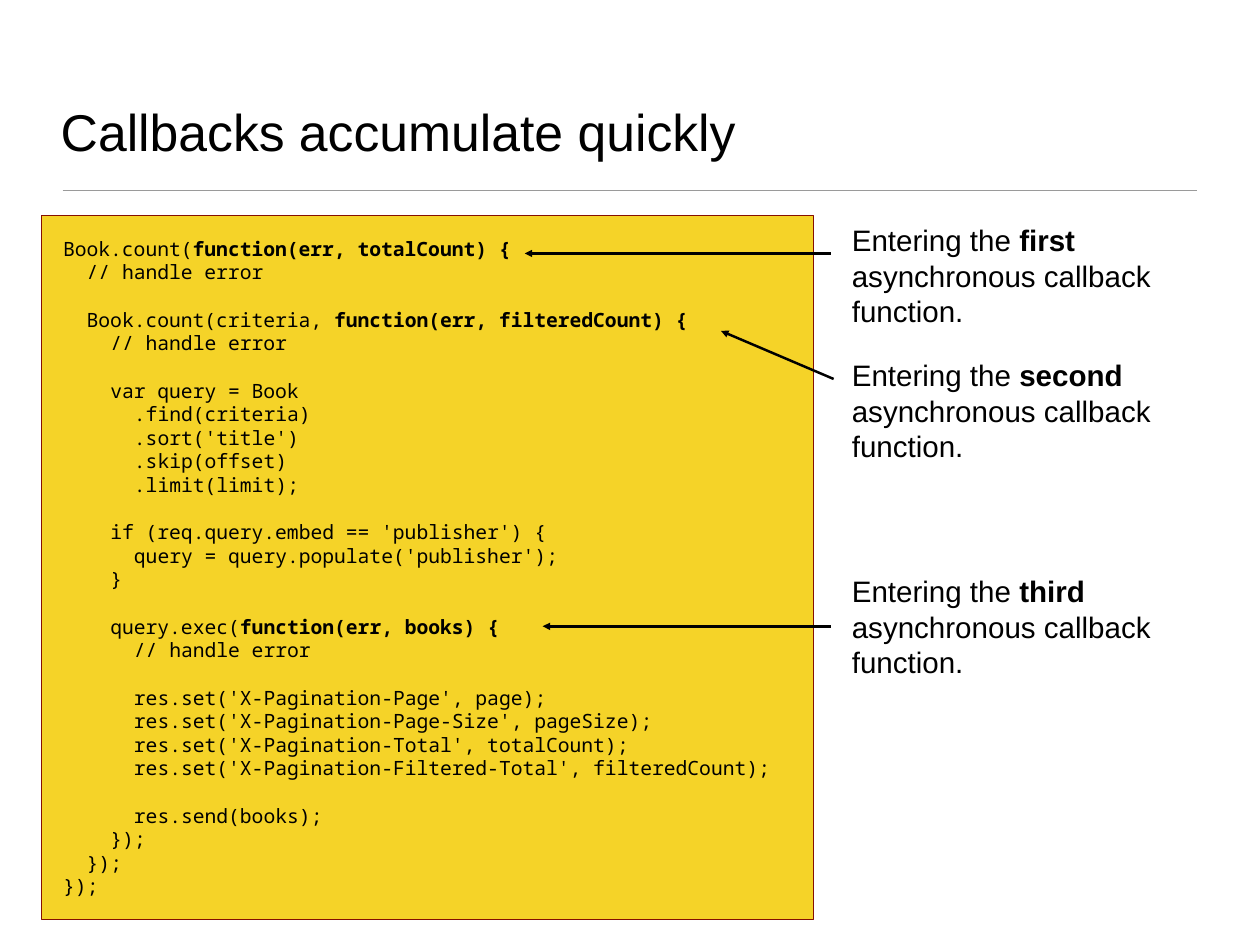
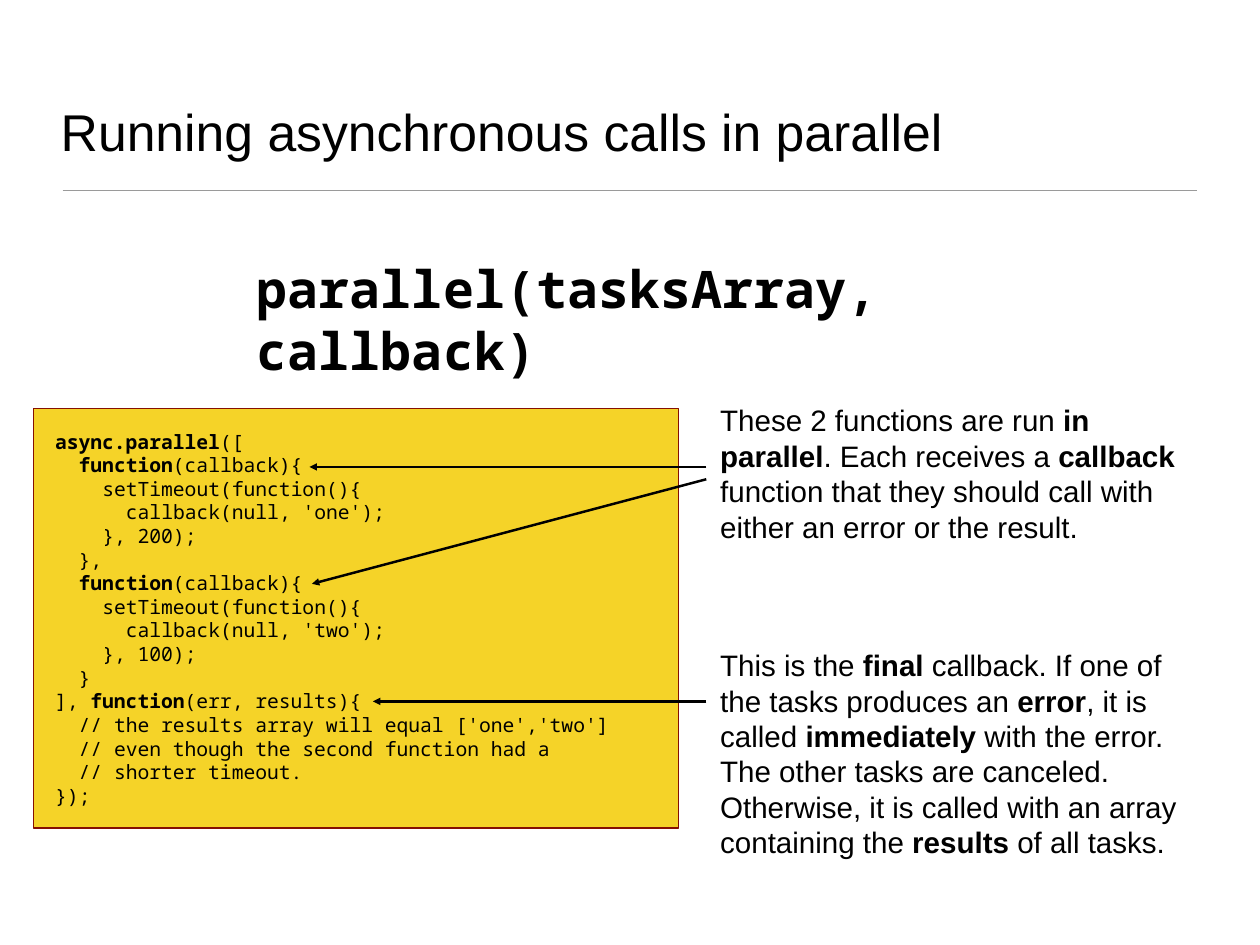
from lxml import etree
from pptx import Presentation
from pptx.dml.color import RGBColor as RGB
from pptx.enum.shapes import MSO_CONNECTOR as Conn, MSO_SHAPE as Shape
from pptx.enum.text import MSO_ANCHOR as Anchor, MSO_AUTO_SIZE as AutoSize, PP_ALIGN as Align
from pptx.oxml.ns import qn
from pptx.util import Pt

COLORS = {"text": "000000", "panel": "F5D328", "border": "851001", "rule": "9A9A9A"}
SANS, MONO = "Arial", "Noto Sans Mono"
TITLE_BOX = (45, 26, 934, 110)
RULE = (51, 155, 973, 155)
CODE_SIZE, CODE_LINE, CODE_CHAR = 16, 19.2, 9.6

CALLBACK_CODE = """
Book.count(**function(err, totalCount) {**
  // handle error

  Book.count(criteria, **function(err, filteredCount) {**
    // handle error

    var query = Book
      .find(criteria)
      .sort('title')
      .skip(offset)
      .limit(limit);

    if (req.query.embed == 'publisher') {
      query = query.populate('publisher');
    }

    query.exec(**function(err, books) {**
      // handle error

      res.set('X-Pagination-Page', page);
      res.set('X-Pagination-Page-Size', pageSize);
      res.set('X-Pagination-Total', totalCount);
      res.set('X-Pagination-Filtered-Total', filteredCount);

      res.send(books);
    });
  });
});
"""

PARALLEL_CODE = """
**async.parallel**([
  **function**(callback){
    setTimeout(function(){
      callback(null, 'one');
    }, 200);
  },
  **function**(callback){
    setTimeout(function(){
      callback(null, 'two');
    }, 100);
  }
], **function**(err, results){
  // the results array will equal ['one','two']
  // even though the second function had a
  // shorter timeout.
});
"""


def color(name):
    return RGB.from_string(COLORS[name])


def points(values):
    return [Pt(v) for v in values]


def set_frame(tf, inset, anchor=Anchor.MIDDLE):
    tf.word_wrap = True
    tf.auto_size = AutoSize.NONE
    tf.vertical_anchor = anchor
    tf.margin_left = tf.margin_top = tf.margin_right = tf.margin_bottom = Pt(inset)


def add_runs(p, text, size, font):
    p.alignment = Align.LEFT
    for i, part in enumerate(text.split("**")):
        if part:
            r = p.add_run()
            r.text = part
            r.font.size, r.font.name = Pt(size), font
            r.font.bold = i % 2 == 1
            r.font.color.rgb = color("text")


def add_line(s, ends, name, width):
    line = s.shapes.add_connector(Conn.STRAIGHT, *points(ends))
    line.line.color.rgb = color(name)
    line.line.width = Pt(width)
    etree.SubElement(line._element.spPr, qn("a:effectLst"))
    return line


def add_arrow(s, x, y, dx, dy):
    line = add_line(s, (x, y, x + dx, y + dy), "text", 2)
    etree.SubElement(line.line._get_or_add_ln(), qn("a:tailEnd"), type="triangle")


def add_text(s, box, text, size=24, font=SANS):
    tf = s.shapes.add_textbox(*points(box)).text_frame
    set_frame(tf, 4.3)
    add_runs(tf.paragraphs[0], text, size, font)


def add_callout(s, box, text, arrows):
    add_text(s, box, text)
    left, top = box[:2]
    for x, y, dx, dy in arrows:
        add_arrow(s, left + x, top + y, dx, dy)


def add_code(s, box, code):
    sp = s.shapes.add_shape(Shape.RECTANGLE, *points(box))
    sp.shadow.inherit = False
    sp.fill.solid()
    sp.fill.fore_color.rgb = color("panel")
    sp.line.color.rgb = color("border")
    sp.line.width = Pt(1)
    tf = sp.text_frame
    set_frame(tf, 17.3)
    p, gap = tf.paragraphs[0], 0
    for line in code.strip().splitlines():
        text = line.lstrip()
        if not text:
            gap += CODE_LINE
            continue
        if p.runs:
            p = tf.add_paragraph()
        p.space_before = Pt(gap)
        gap = 0
        pPr = p._p.get_or_add_pPr()
        pPr.set("marL", str(Pt((len(line) - len(text)) * CODE_CHAR)))
        pPr.set("indent", "0")
        add_runs(p, text, CODE_SIZE, MONO)


def add_slide(prs, layout, title):
    s = prs.slides.add_slide(layout)
    sp = s.shapes.title
    sp.left, sp.top, sp.width, sp.height = points(TITLE_BOX)
    set_frame(sp.text_frame, 4.3, Anchor.BOTTOM)
    add_runs(sp.text_frame.paragraphs[0], title, 42, SANS)
    return s


def add_layout_rule(s):
    rule = add_line(s, RULE, "rule", 1)
    s.slide_layout.shapes._spTree.append(rule._element)


def callbacks_slide(prs, layout):
    s = add_slide(prs, layout, "Callbacks accumulate quickly")
    add_code(s, (34, 175, 627, 572), CALLBACK_CODE)
    for top, order, arrow in (
        (177, "first", (-13, 29, -248.5, 0)),
        (286.5, "second", (-10.5, 21.5, -91.5, -39)),
        (462, "third", (-13, 47, -234, 0)),
    ):
        text = f"Entering the **{order}** asynchronous callback function."
        add_callout(s, (688, top, 313, 94), text, [arrow])
    return s


def parallel_slide(prs, layout):
    s = add_slide(prs, layout, "Running asynchronous calls in parallel")
    add_code(s, (27.5, 332, 524, 341), PARALLEL_CODE)
    add_text(s, (204.5, 230.5, 615.5, 58), "**parallel(tasksArray, callback)**", 42, MONO)
    add_callout(
        s, (581, 323, 396, 123),
        "These 2 functions are run **in parallel**. Each receives a **callback** function "
        "that they should call with either an error or the result.",
        [(-7, 56.5, -322.5, 0), (-7, 66.5, -320.5, 85)])
    add_callout(
        s, (581, 507.5, 396, 209.5),
        "This is the **final **callback. If one of the tasks produces an **error**, it is "
        "called **immediately **with the error. The other tasks are canceled. Otherwise, "
        "it is called with an array containing the **results** of all tasks.",
        [(-7, 62.5, -271, 0)])


def main():
    prs = Presentation()
    prs.slide_width, prs.slide_height = Pt(1024), Pt(768)
    layout = prs.slide_layouts.get_by_name("Title Only")
    add_layout_rule(callbacks_slide(prs, layout))
    parallel_slide(prs, layout)
    prs.save("out.pptx")


if __name__ == "__main__":
    main()
